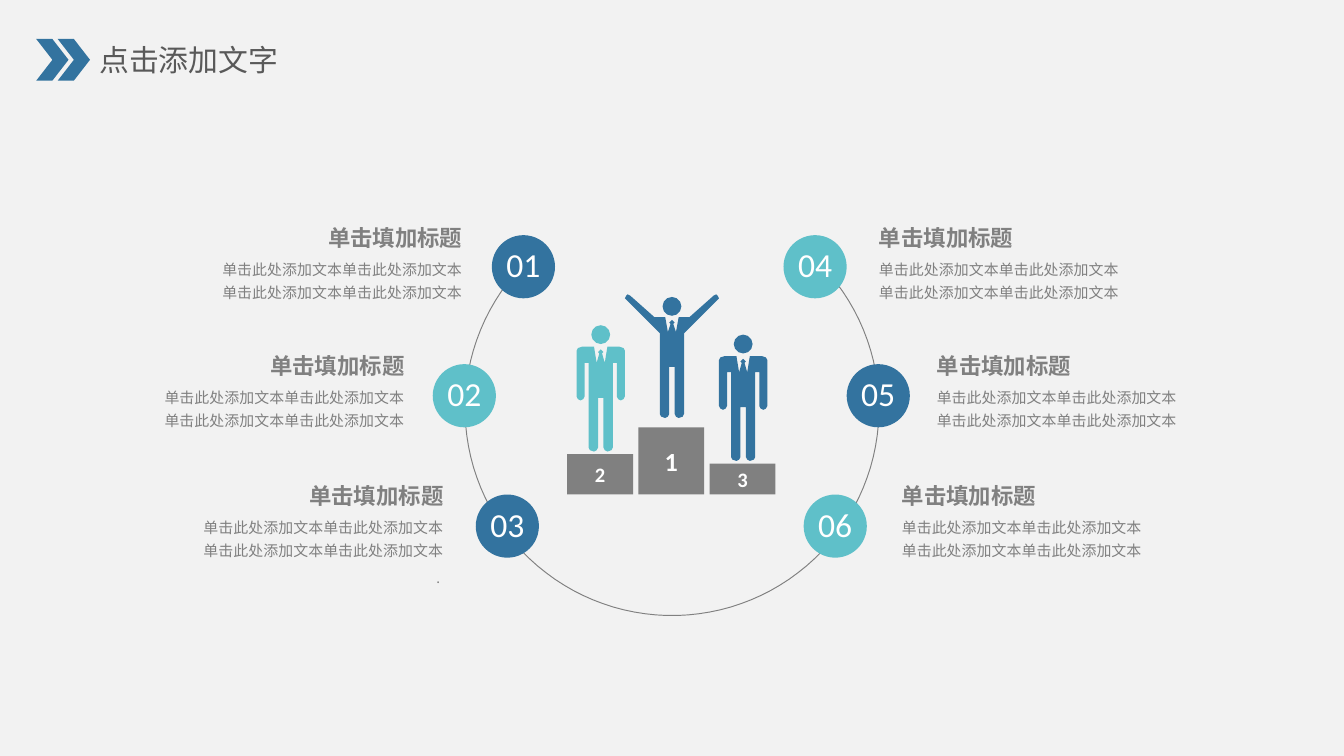
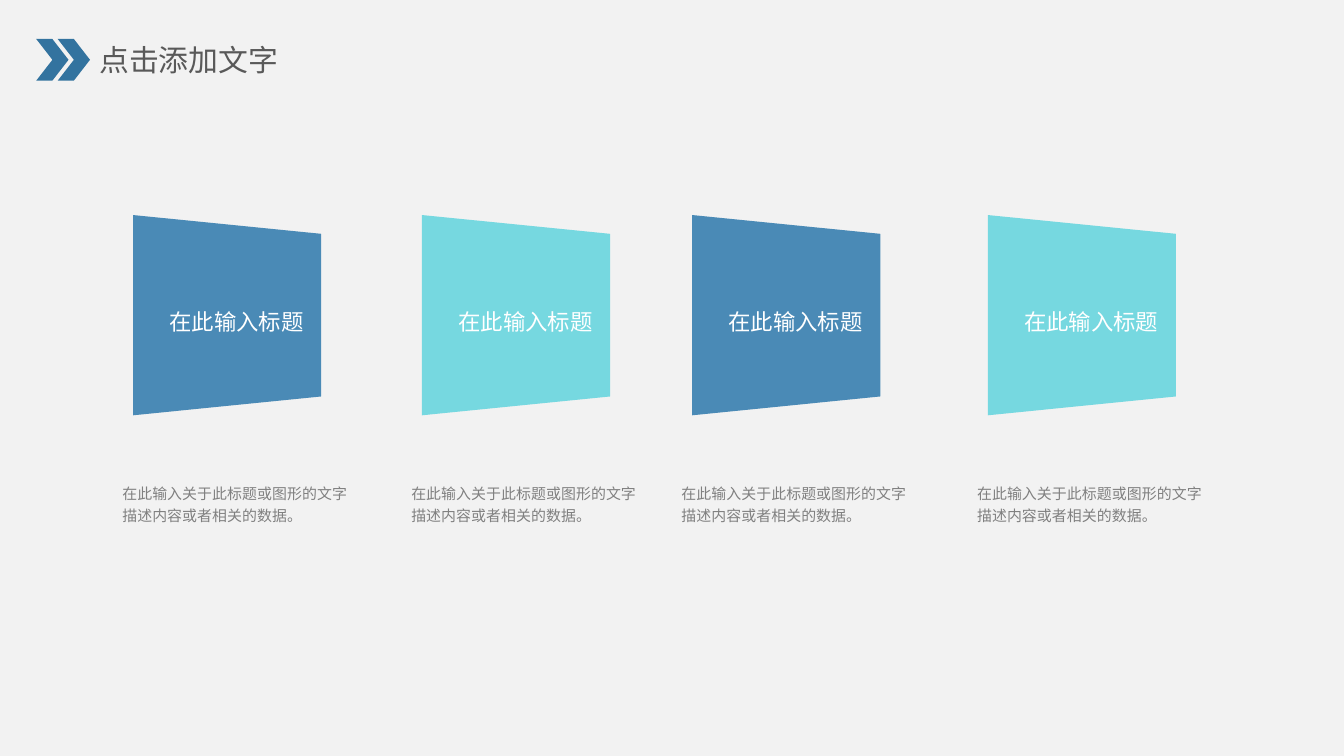
from math import cos, radians, sin

from lxml import etree
from pptx import Presentation
from pptx.dml.color import RGBColor
from pptx.enum.shapes import MSO_SHAPE
from pptx.enum.text import MSO_ANCHOR, MSO_AUTO_SIZE, PP_ALIGN
from pptx.oxml.ns import qn
from pptx.util import Inches, Pt

OVAL, RECT, CHEVRON = MSO_SHAPE.OVAL, MSO_SHAPE.RECTANGLE, MSO_SHAPE.CHEVRON
LEFT, MID, RIGHT = PP_ALIGN.LEFT, PP_ALIGN.CENTER, PP_ALIGN.RIGHT
TOP, CENTRE = MSO_ANCHOR.TOP, MSO_ANCHOR.MIDDLE
FIXED, GROW = MSO_AUTO_SIZE.NONE, MSO_AUTO_SIZE.SHAPE_TO_FIT_TEXT

COLORS = {
    "back": "F2F2F2", "title": "595959", "gray": "808080", "white": "FFFFFF",
    "blue": "33739F", "teal": "5FC0C9", "sky": "4A8AB6", "aqua": "76D8E0",
}
CJK, LATIN = "Noto Sans CJK SC", "Calibri"
PAD = (0.07, 0.04, 0.07, 0.04)


def paint(shape, color):
    """Give a flat fill without outline or shadow."""
    shape.shadow.inherit = False
    shape.fill.solid()
    shape.fill.fore_color.rgb = RGBColor.from_string(COLORS[color])
    shape.line.fill.background()


def write(shape, rows, color, align=MID, anchor=CENTRE, pad=(0, 0, 0, 0), size=FIXED):
    """Fill a shape with rows of (text, points, font, bold, line spacing, space before)."""
    frame = shape.text_frame
    frame.word_wrap = True
    frame.auto_size = size
    frame.vertical_anchor = anchor
    (frame.margin_left, frame.margin_top,
     frame.margin_right, frame.margin_bottom) = map(Inches, pad)
    for i, (text, points, face, bold, gap, before) in enumerate(rows):
        para = frame.add_paragraph() if i else frame.paragraphs[0]
        para.text = text
        para.alignment = align
        para.line_spacing = gap
        para.space_before = Pt(before)
        font = para.font
        font.size, font.bold, font.name = Pt(points), bold, face
        font.color.rgb = RGBColor.from_string(COLORS[color])
        for props in para._p.iter(qn("a:defRPr")):
            etree.SubElement(props, qn("a:ea"), typeface=face)


prs = Presentation()
prs.slide_width = Inches(10)
prs.slide_height = prs.slide_width * 9 // 16
back = prs.slide_master.background.fill
back.solid()
back.fore_color.rgb = RGBColor.from_string(COLORS["back"])

# Shared header
slides = []
for _ in range(2):
    slide = prs.slides.add_slide(prs.slide_layouts[5])
    title = slide.shapes.title
    title.left, title.top, title.width, title.height = map(Inches, (0.67, 0.27, 1.96, 0.34))
    write(title, [("点击添加文字", 16, CJK, False, 1, 0)], "title", LEFT, pad=PAD)
    for x in (0.27, 0.43):
        mark = slide.shapes.add_shape(
            CHEVRON, Inches(x), Inches(0.29), Inches(0.24), Inches(0.31))
        paint(mark, "blue")
    slides.append(slide)

# Slide 1: ring of six topics around a podium
shapes = slides[0].shapes
ring = []
for i in range(94):
    turn = radians(-49.5 + 3 * i)
    ring.append((Inches(5 + 1.54 * cos(turn)), Inches(3.04 + 1.54 * sin(turn))))
pen = shapes.build_freeform(*ring[0])
pen.add_line_segments(ring[1:], close=False)
arc = pen.convert_to_shape()
arc.shadow.inherit = False
arc.fill.background()
arc.line.color.rgb = RGBColor.from_string(COLORS["gray"])
arc.line.width = Pt(0.5)

# Circle left and top, text left and top, text width, alignment
topics = [
    (3.66, 1.75, 0.82, 1.63, 2.62, RIGHT), (3.22, 2.71, 0.39, 2.58, 2.62, RIGHT),
    (3.54, 3.68, 0.68, 3.55, 2.62, RIGHT), (5.83, 1.75, 6.54, 1.63, 2.51, LEFT),
    (6.3, 2.71, 6.97, 2.58, 2.51, LEFT), (5.98, 3.68, 6.71, 3.55, 2.51, LEFT),
]
body = "单击此处添加文本单击此处添加文本"
for i, (x, y, left, top, width, align) in enumerate(topics):
    dot = shapes.add_shape(OVAL, Inches(x), Inches(y), Inches(0.47), Inches(0.47))
    paint(dot, ("blue", "teal")[i % 2])
    write(dot, [(f"{i + 1:02}", 18, LATIN, False, 1, 0)], "white", anchor=TOP)
    rows = [
        ("单击填加标题", 12, CJK, True, 1.2, 3),
        (body, 8, CJK, False, 1.2, 3),
        (body, 8, CJK, False, 1.3, 0),
    ]
    if i == 2:
        rows.append((". ", 8, LATIN, False, 1.2, 3))
    height = 0.82 if i == 2 else 0.62
    box = shapes.add_textbox(Inches(left), Inches(top), Inches(width), Inches(height))
    write(box, rows, "gray", align, TOP, size=GROW)

for rank, x, y, points in (("1", 4.75, 3.18, 14), ("2", 4.22, 3.38, 11), ("3", 5.28, 3.45, 11)):
    step = shapes.add_shape(RECT, Inches(x), Inches(y), Inches(0.49), Inches(3.68 - y))
    paint(step, "gray")
    write(step, [(rank, points, LATIN, True, 1, 0)], "white")

# Right halves of the figures, measured from the middle of the top edge
stand = [
    (0, 0.02), (0.02, 0.04), (0.01, 0.05), (0.03, 0.12), (0.05, 0), (0.14, 0),
    (0.17, 0.01), (0.18, 0.03), (0.18, 0.37), (0.17, 0.39), (0.15, 0.4), (0.13, 0.39),
    (0.12, 0.37), (0.12, 0.12), (0.09, 0.12), (0.09, 0.75), (0.08, 0.77), (0.05, 0.78),
    (0.03, 0.77), (0.02, 0.75), (0.02, 0.38),
]
cheer = [
    (0, 0.19), (0.02, 0.21), (0.01, 0.22), (0.03, 0.28), (0.05, 0.17), (0.13, 0.17),
    (0.31, 0.01), (0.33, 0), (0.34, 0.01), (0.35, 0.03), (0.34, 0.04), (0.09, 0.29),
    (0.09, 0.89), (0.08, 0.91), (0.05, 0.92), (0.03, 0.91), (0.02, 0.89), (0.02, 0.54),
]
figures = [
    (stand, 5.53, 2.65, -0.16, "blue"),
    (stand, 4.47, 2.58, -0.16, "teal"),
    (cheer, 5, 2.19, 0.02, "blue"),
]
for half, x, y, rise, color in figures:
    group = shapes.add_group_shape().shapes
    head = group.add_shape(
        OVAL, Inches(x - 0.07), Inches(y + rise), Inches(0.14), Inches(0.14))
    paint(head, color)
    whole = half + [(-dx, dy) for dx, dy in half[:0:-1]]
    points = [(Inches(x + dx), Inches(y + dy)) for dx, dy in whole]
    pen = group.build_freeform(*points[0])
    pen.add_line_segments(points[1:])
    paint(pen.convert_to_shape(), color)

# Slide 2: four panels in perspective
shapes = slides[1].shapes
for i, x in enumerate((0.97, 3.12, 5.13, 7.33)):
    edge = [(0.02, 1.6), (1.42, 1.74), (1.42, 2.95), (0.02, 3.09)]
    points = [(Inches(x + dx), Inches(y)) for dx, y in edge]
    pen = shapes.build_freeform(*points[0])
    pen.add_line_segments(points[1:])
    panel = pen.convert_to_shape()
    paint(panel, ("sky", "aqua")[i % 2])
    write(panel, [("在此输入标题", 12, CJK, False, 1.5, 0)], "white",
          pad=(0.21, 0.04, 0.07, 0.04))
    note = shapes.add_textbox(Inches(x - 0.13), Inches(3.53), Inches(1.85), Inches(0.41))
    write(note, [("在此输入关于此标题或图形的文字描述内容或者相关的数据。", 8, CJK, False, 1.25, 4.5)],
          "gray", LEFT, TOP, PAD, GROW)

prs.save("out.pptx")
